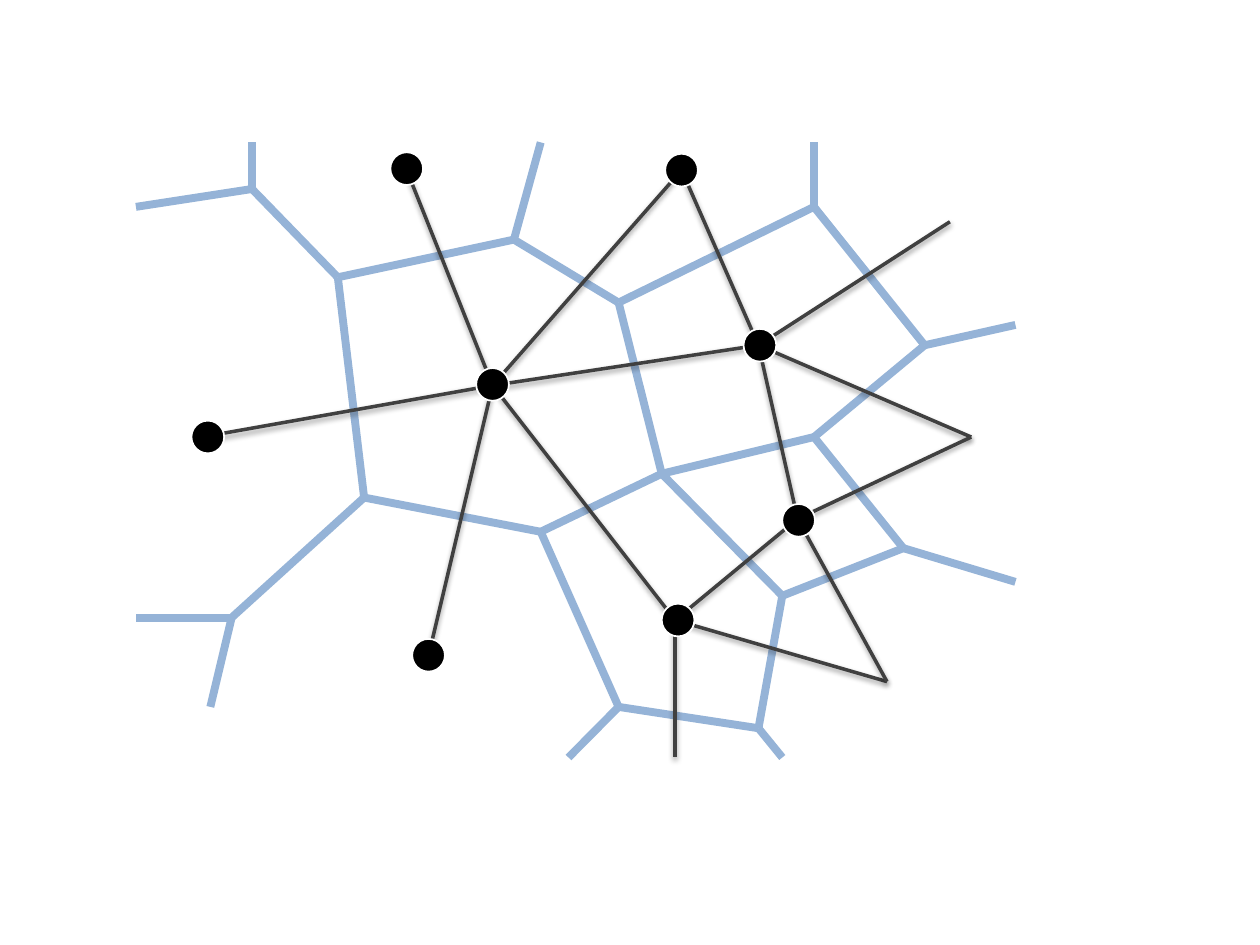
from lxml import etree
from pptx import Presentation
from pptx import util as u
from pptx.dml.color import RGBColor
from pptx.enum import shapes
from pptx.oxml import parse_xml
from pptx.oxml.ns import qn

HUE = {"cell": "95B3D7", "link": "404040", "dot": "000000", "rim": "FFFFFF"}
SIZE = 0.66  # dot diameter, cm

# Corners of the cells, in cm
CORNER = {
    "a": (5.08, 3.81), "b": (6.81, 5.59), "c": (10.36, 4.83),
    "d": (12.47, 6.1), "e": (16.41, 4.17), "f": (13.34, 9.55),
    "g": (4.67, 12.45), "h": (7.34, 10.03), "i": (10.9, 10.72),
    "j": (15.77, 12.01), "k": (12.47, 14.25), "l": (16.41, 8.81),
    "m": (18.21, 11.05), "n": (18.64, 6.96), "o": (15.29, 14.68),
}
EDGES = "ab bc cd de df gh hb hi if jf ik lf ml mj nl ne ok oj".split()

# Open edges: corner and outer end
RAYS = [
    ("c", (10.9, 2.87)), ("k", (11.46, 15.27)), ("g", (2.74, 12.45)),
    ("g", (4.24, 14.25)), ("m", (20.47, 11.73)), ("n", (20.47, 6.55)),
    ("e", (16.41, 2.87)), ("o", (15.77, 15.27)), ("a", (2.74, 4.17)),
    ("a", (5.08, 2.87)),
]

# Ends of the links between neighbours, in cm
SITE = {
    "hub": (9.93, 7.77), "north": (8.2, 3.43), "west": (4.19, 8.79),
    "south": (8.64, 13.21), "top": (13.74, 3.43), "right": (15.29, 6.96),
    "low": (16.08, 10.46), "base": (13.61, 12.5),
    "far": (19.15, 4.47), "east": (19.58, 8.81),
    "tip": (17.88, 13.74), "foot": (13.61, 15.27),
}
LINKS = {
    "hub": ["north", "west", "south", "base", "right", "top"],
    "right": ["top", "far", "east", "low"],
    "base": ["low", "foot", "tip"],
    "low": ["tip", "east"],
}
DOTS = [(15.32, 6.96), (16.1, 10.49), (13.67, 12.5), (8.2, 3.4),
        (4.19, 8.81), (8.64, 13.21), (13.74, 3.43), (9.93, 7.75)]

SHADE = (
    '<a:effectLst xmlns:a="http://schemas.openxmlformats.org/drawingml/2006/main">'
    '<a:outerShdw blurRad="40000" dist="20000" dir="5400000" rotWithShape="0">'
    '<a:srgbClr val="000000"><a:alpha val="38000"/></a:srgbClr>'
    '</a:outerShdw></a:effectLst>'
)


def color(name):
    return RGBColor.from_string(HUE[name])


def draw_line(home, start, end, name, width, shade=False):
    line = home.add_connector(
        shapes.MSO_CONNECTOR.STRAIGHT, *[u.Cm(v) for v in (*start, *end)])
    line.line.color.rgb = color(name)
    line.line.width = u.Pt(width)
    props = line._element.spPr
    if shade:
        props.append(parse_xml(SHADE))
    else:
        etree.SubElement(props, qn("a:effectLst"))


def draw_dot(home, x, y):
    dot = home.add_shape(
        shapes.MSO_SHAPE.OVAL, u.Cm(x - SIZE / 2), u.Cm(y - SIZE / 2),
        u.Cm(SIZE), u.Cm(SIZE))
    dot.shadow.inherit = False
    dot.fill.solid()
    dot.fill.fore_color.rgb = color("dot")
    dot.line.color.rgb = color("rim")
    dot.line.width = u.Pt(1)


deck = Presentation()
deck.slide_width, deck.slide_height = u.Cm(25.4), u.Cm(19.05)
slide = deck.slides.add_slide(deck.slide_layouts[6])

# Cell borders, kept in one group
cells = slide.shapes.add_group_shape().shapes
for start, end in EDGES:
    draw_line(cells, CORNER[start], CORNER[end], "cell", 4.5)
for start, end in RAYS:
    draw_line(cells, CORNER[start], end, "cell", 4.5)

# Links between neighbours
for start, ends in LINKS.items():
    for end in ends:
        draw_line(slide.shapes, SITE[start], SITE[end], "link", 2, True)

# Dots on top
for x, y in DOTS:
    draw_dot(slide.shapes, x, y)

deck.save("out.pptx")
